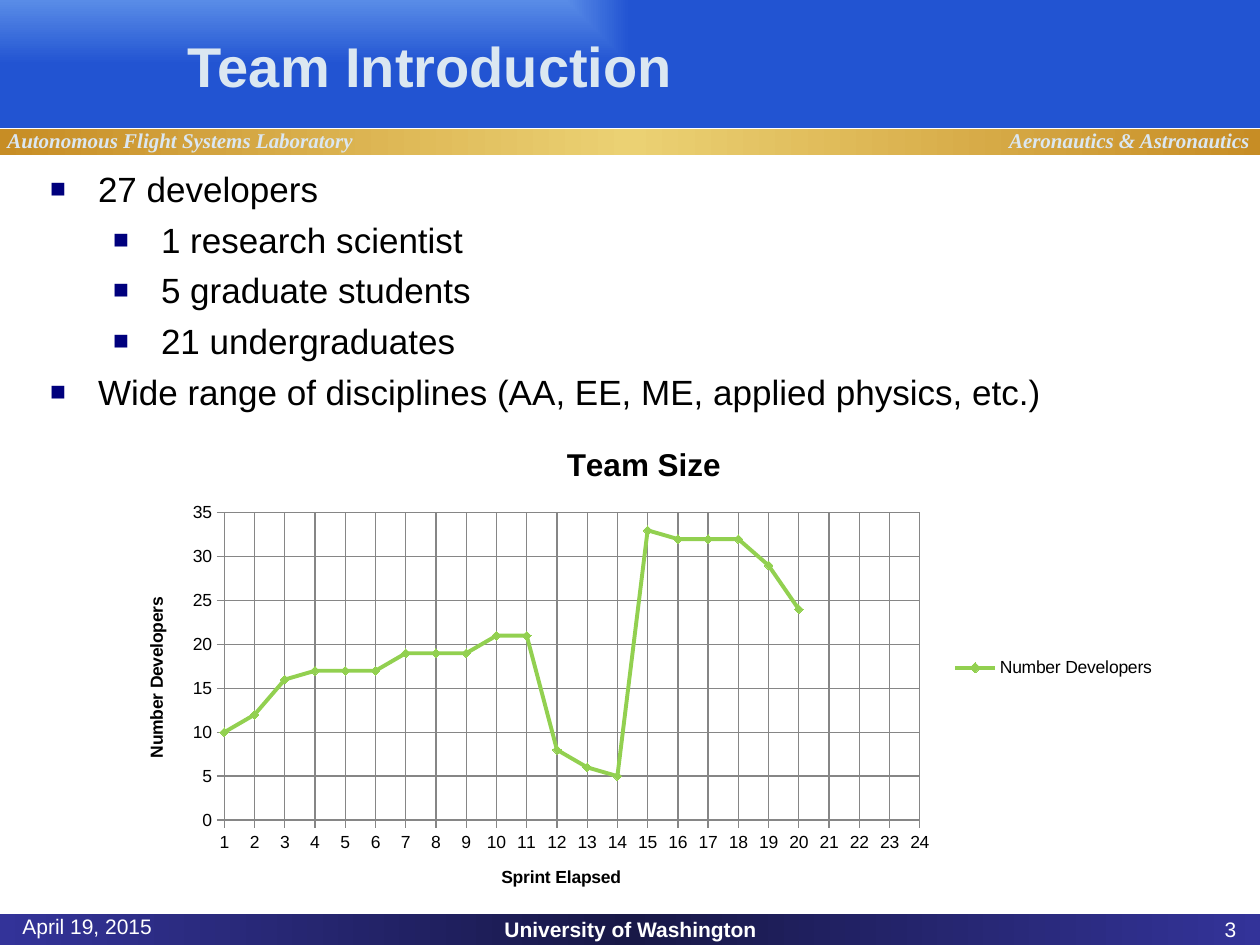
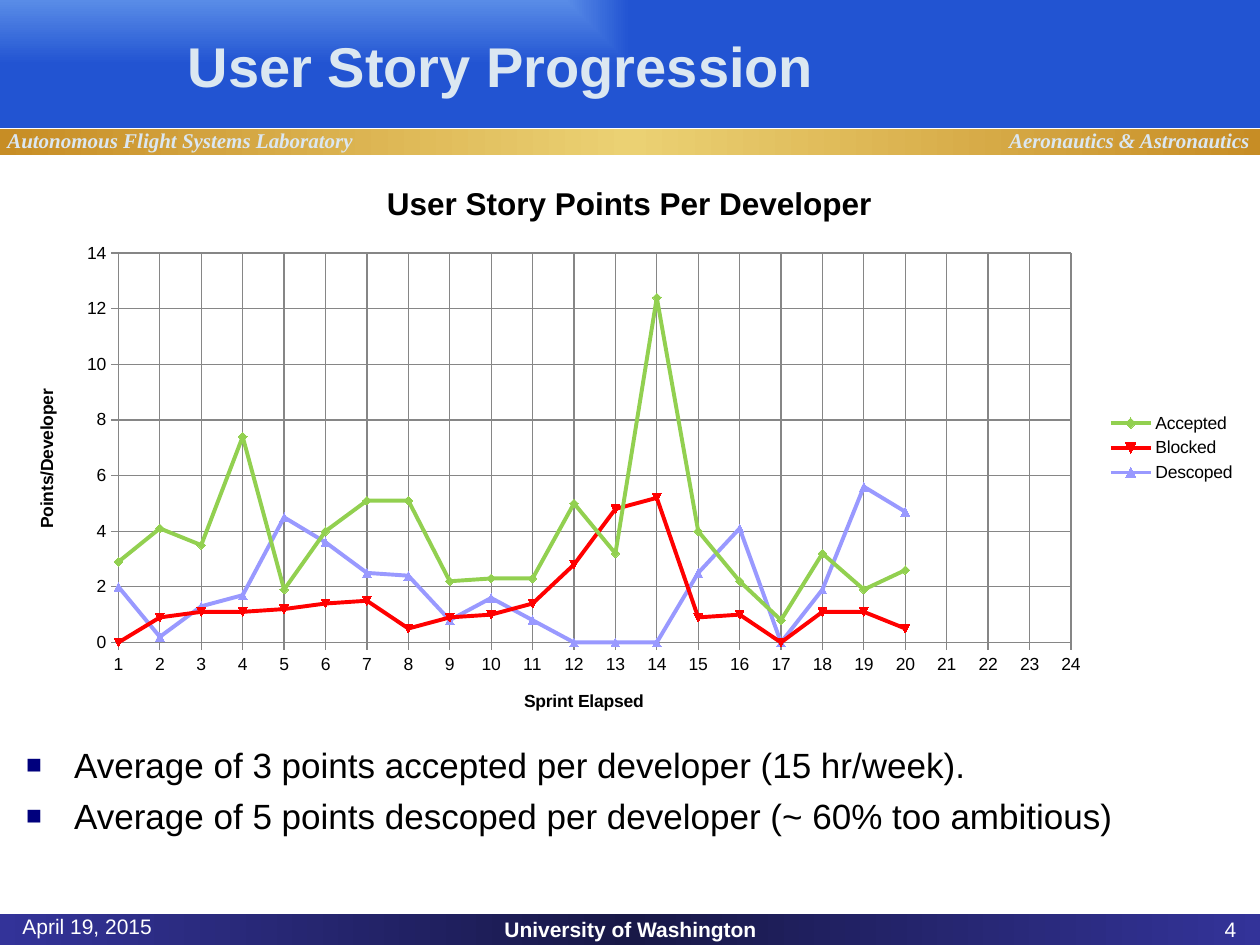
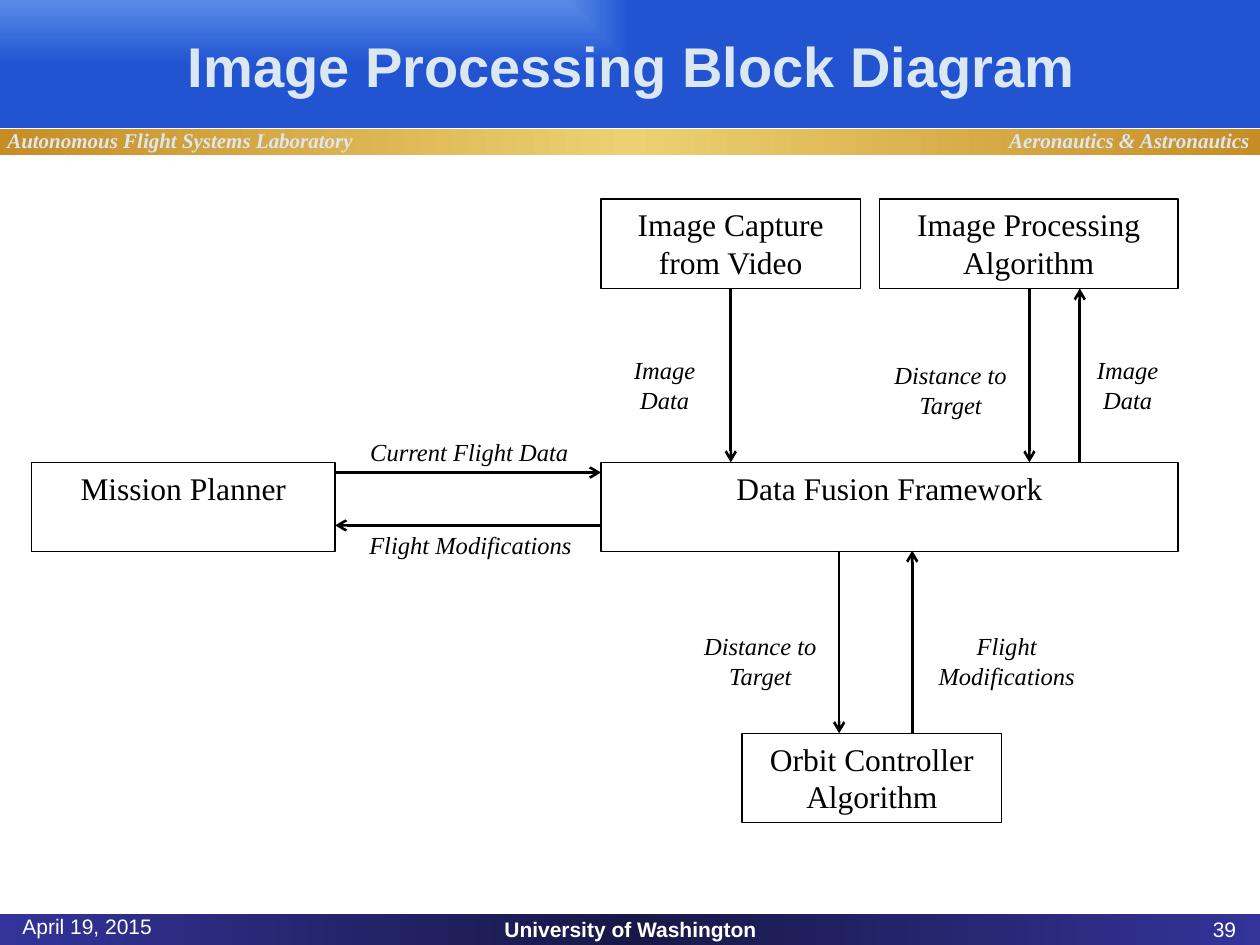
"""Build three slides of a flight systems laboratory review."""
from dataclasses import dataclass
from typing import NamedTuple

from pptx import Presentation
from pptx.chart.data import XyChartData
from pptx.dml.color import RGBColor
from pptx.enum.chart import XL_CHART_TYPE as ChartType
from pptx.enum.chart import XL_LEGEND_POSITION as LegendPos
from pptx.enum.chart import XL_MARKER_STYLE as Marker
from pptx.enum.chart import XL_TICK_MARK as Tick
from pptx.enum.shapes import MSO_CONNECTOR as Connector
from pptx.enum.shapes import MSO_SHAPE as Shape
from pptx.enum.text import MSO_ANCHOR as Anchor
from pptx.enum.text import MSO_AUTO_SIZE as AutoSize
from pptx.enum.text import PP_ALIGN as Align
from pptx.oxml import parse_xml
from pptx.oxml.ns import nsdecls, qn
from pptx.util import Emu, Pt

PX = 9144
SANS, SERIF = "Arial", "Times New Roman"


class Style(NamedTuple):
    """Look of a run of text."""
    size: int
    font: str
    color: str
    bold: bool = False
    italic: bool = False


@dataclass(frozen=True)
class Theme:
    """Colours and type styles of the deck."""
    header: tuple = ("598CE7", "2254D2")
    gold: tuple = ("C78D25", "EBD173", "C78D25")
    navy: tuple = ("333399", "181847", "333399")
    black: str = "000000"
    bullet: str = "00007D"
    grid: str = "868686"
    green: str = "92D050"
    red: str = "FF0000"
    lilac: str = "9999FF"
    title: Style = Style(32, SANS, "DBE7F1", bold=True)
    unit: Style = Style(12, SERIF, "DBE7F1", bold=True, italic=True)
    footer: Style = Style(12, SANS, "FFFFFF")
    footer_bold: Style = Style(12, SANS, "FFFFFF", bold=True)
    body: Style = Style(20, SANS, "000000")
    block: Style = Style(18, SERIF, "000000")
    flow: Style = Style(14, SERIF, "000000", italic=True)
    chart: Style = Style(10, SANS, "000000")
    axis_title: Style = Style(10, SANS, "000000", bold=True)
    chart_title: Style = Style(18, SANS, "000000", bold=True)


T = Theme()


class Box(NamedTuple):
    """Left, top, width and height in px."""
    x: int
    y: int
    w: int
    h: int

    def emu(self) -> list:
        """Return the box in EMU."""
        return [Emu(v * PX) for v in self]


class Band(NamedTuple):
    """Full-width gradient band."""
    box: Box
    colors: tuple
    from_corner: bool = False


class Label(NamedTuple):
    """Text with its box and look."""
    text: str
    box: Box
    style: Style
    align: Align = Align.LEFT
    anchor: Anchor = Anchor.TOP


class Arrow(NamedTuple):
    """Arrow from one point to another."""
    x1: int
    y1: int
    x2: int
    y2: int


class Bullet(NamedTuple):
    """Bulleted line."""
    text: str
    level: int = 0


class Series(NamedTuple):
    """Values for sprints 1, 2, 3 and on."""
    name: str
    color: str
    values: tuple


class SprintChart(NamedTuple):
    """Scatter chart over the sprints."""
    title: str
    y_title: str
    box: Box
    plot: Box
    y_max: int
    y_step: int
    series: tuple


BANDS = (
    Band(Box(0, 725, 1000, 25), T.navy),
    Band(Box(0, 0, 1000, 102), T.header, from_corner=True),
    Band(Box(0, 102, 1000, 21), T.gold),
)
BAND_LABELS = (
    Label("Aeronautics & Astronautics", Box(791, 96, 239, 30), T.unit),
    Label("Autonomous Flight Systems Laboratory", Box(-4, 96, 374, 30), T.unit),
    Label("April 19, 2015", Box(8, 725, 233, 25), T.footer, anchor=Anchor.BOTTOM),
    Label("University of Washington", Box(267, 725, 467, 25), T.footer_bold,
          Align.CENTER, Anchor.MIDDLE),
)
NUMBER_BOX = Box(758, 725, 233, 25)
TITLE_BOX = Box(139, 10, 840, 83)

TEAM_BULLETS = (
    Bullet("27 developers"),
    Bullet("1 research scientist", 1),
    Bullet("5 graduate students", 1),
    Bullet("21 undergraduates", 1),
    Bullet("Wide range of disciplines (AA, EE, ME, applied physics, etc.)"),
)
TEAM_CHART = SprintChart(
    "Team Size", "Number Developers", Box(95, 335, 832, 390), Box(178, 407, 552, 244), 35, 5,
    (Series("Number Developers", T.green,
            (10, 12, 16, 17, 17, 17, 19, 19, 19, 21, 21, 8, 6, 5, 33, 32, 32, 32, 29, 24)),))

STORY_BULLETS = (
    Bullet("Average of 3 points accepted per developer (15 hr/week)."),
    Bullet("Average of 5 points descoped per developer (~ 60% too ambitious)"),
)
STORY_CHART = SprintChart(
    "User Story Points Per Developer", "Points/Developer",
    Box(8, 126, 983, 459), Box(94, 201, 756, 309), 14, 2,
    (Series("Accepted", T.green, (2.9, 4.1, 3.5, 7.4, 1.9, 4, 5.1, 5.1, 2.2, 2.3,
                                  2.3, 5, 3.2, 12.4, 4, 2.2, 0.8, 3.2, 1.9, 2.6)),
     Series("Blocked", T.red, (0, 0.9, 1.1, 1.1, 1.2, 1.4, 1.5, 0.5, 0.9, 1,
                               1.4, 2.8, 4.8, 5.2, 0.9, 1, 0, 1.1, 1.1, 0.5)),
     Series("Descoped", T.lilac, (2, 0.2, 1.3, 1.7, 4.5, 3.6, 2.5, 2.4, 0.8, 1.6,
                                  0.8, 0, 0, 0, 2.5, 4.1, 0, 1.9, 5.6, 4.7))))

BLOCKS = tuple(Label(text, Box(x, y, w, 71), T.block, Align.CENTER) for text, x, y, w in (
    ("Image Processing Algorithm", 698, 158, 237),
    ("Image Capture from Video", 477, 158, 206),
    ("Data Fusion Framework", 477, 367, 458),
    ("Orbit Controller Algorithm", 589, 582, 206),
    ("Mission Planner", 25, 367, 241),
))
FLOWS = tuple(Label(text, Box(*box), T.flow, Align.CENTER) for text, *box in (
    ("Image Data", 477, 277, 101, 57),
    ("Distance to Target", 692, 281, 125, 57),
    ("Image Data", 841, 277, 108, 57),
    ("Distance to Target", 541, 496, 125, 57),
    ("Flight Modifications", 732, 496, 134, 57),
    ("Current Flight Data", 247, 342, 251, 34),
    ("Flight Modifications", 248, 416, 251, 34),
))
ARROWS = (
    Arrow(817, 229, 817, 367), Arrow(580, 229, 580, 367), Arrow(857, 367, 857, 229),
    Arrow(666, 437, 666, 582), Arrow(724, 582, 724, 437),
    Arrow(266, 375, 477, 375), Arrow(477, 417, 266, 417),
)


def rgb(color: str) -> RGBColor:
    """Turn a hex string into a colour."""
    return RGBColor.from_string(color)


def set_font(font, style: Style) -> None:
    """Apply a style to a font."""
    font.size, font.name = Pt(style.size), style.font
    font.bold, font.italic = style.bold, style.italic
    font.color.rgb = rgb(style.color)


def fill_text(sp, label: Label) -> None:
    """Write a label into a shape."""
    tf = sp.text_frame
    tf.word_wrap, tf.auto_size = True, AutoSize.NONE
    tf.vertical_anchor = label.anchor
    tf.text = label.text
    p = tf.paragraphs[0]
    p.alignment = label.align
    for r in p.runs:
        set_font(r.font, label.style)


def add_label(s, label: Label) -> None:
    """Add a text box."""
    fill_text(s.shapes.add_textbox(*label.box.emu()), label)


def add_rect(s, box: Box):
    """Add a rectangle without a shadow."""
    sp = s.shapes.add_shape(Shape.RECTANGLE, *box.emu())
    sp.shadow.inherit = False
    return sp


def add_band(s, band: Band) -> None:
    """Add a rectangle with a gradient fill."""
    sp = add_rect(s, band.box)
    sp.line.fill.background()
    step = 100000 // (len(band.colors) - 1)
    stops = "".join(f'<a:gs pos="{i * step}"><a:srgbClr val="{c}"/></a:gs>'
                    for i, c in enumerate(band.colors))
    direction = ('<a:path path="rect"><a:fillToRect r="100000" b="100000"/></a:path>'
                 if band.from_corner else '<a:lin ang="0" scaled="1"/>')
    sp.element.spPr.find(qn("a:prstGeom")).addnext(parse_xml(
        f'<a:gradFill {nsdecls("a")}><a:gsLst>{stops}</a:gsLst>{direction}</a:gradFill>'))


def add_slide(prs, title: str, number: int):
    """Add a slide with its bands, title and footer."""
    s = prs.slides.add_slide(prs.slide_layouts[5])
    for band in BANDS:
        add_band(s, band)
    for label in BAND_LABELS:
        add_label(s, label)
    add_label(s, Label(str(number), NUMBER_BOX, T.footer, Align.RIGHT, Anchor.MIDDLE))
    sp = s.shapes.title
    sp.left, sp.top, sp.width, sp.height = TITLE_BOX.emu()
    fill_text(sp, Label(title, TITLE_BOX, T.title, anchor=Anchor.MIDDLE))
    sp.element.getparent().append(sp.element)
    return s


def add_bullets(s, box: Box, bullets: tuple) -> None:
    """Add a text box of square-bulleted lines."""
    tf = s.shapes.add_textbox(*box.emu()).text_frame
    tf.word_wrap = True
    for i, bullet in enumerate(bullets):
        p = tf.add_paragraph() if i else tf.paragraphs[0]
        p.text, p.level = bullet.text, bullet.level
        if i:
            p.space_before = Pt(5)
        pPr = p._p.get_or_add_pPr()
        pPr.set("marL", str((38 + 50 * bullet.level) * PX))
        pPr.set("indent", str(-38 * PX))
        for xml in (f'<a:buClr {nsdecls("a")}><a:srgbClr val="{T.bullet}"/></a:buClr>',
                    f'<a:buSzPct {nsdecls("a")} val="75000"/>',
                    f'<a:buFont {nsdecls("a")} typeface="{SANS}"/>',
                    f'<a:buChar {nsdecls("a")} char="■"/>'):
            pPr.append(parse_xml(xml))
        for r in p.runs:
            set_font(r.font, T.body)


def set_title(owner, text: str, style: Style) -> None:
    """Give a chart or an axis its title."""
    tf = owner.text_frame
    tf.text = text
    set_font(tf.paragraphs[0].runs[0].font, style)


def format_axis(axis, title: str, low: int, high: int, step: int) -> None:
    """Set the scale, grid and title of an axis."""
    axis.minimum_scale, axis.maximum_scale, axis.major_unit = low, high, step
    axis.major_tick_mark, axis.minor_tick_mark = Tick.OUTSIDE, Tick.NONE
    axis.has_major_gridlines = True
    for line in (axis.major_gridlines.format.line, axis.format.line):
        line.color.rgb, line.width = rgb(T.grid), Pt(0.75)
    set_title(axis.axis_title, title, T.axis_title)


def place_plot(chart, box: Box, plot: Box) -> None:
    """Fix the inner plot area within the chart."""
    area = chart._chartSpace.chart.plotArea
    for old in area.findall(qn("c:layout")):
        area.remove(old)
    parts = {"x": (plot.x - box.x) / box.w, "y": (plot.y - box.y) / box.h,
             "w": plot.w / box.w, "h": plot.h / box.h}
    modes = '<c:xMode val="edge"/><c:yMode val="edge"/>'
    values = "".join(f'<c:{k} val="{v:.4f}"/>' for k, v in parts.items())
    area.insert(0, parse_xml(
        f'<c:layout {nsdecls("c")}><c:manualLayout><c:layoutTarget val="inner"/>'
        f'{modes}{values}</c:manualLayout></c:layout>'))


def add_sprint_chart(s, item: SprintChart) -> None:
    """Add a scatter chart with lines and markers."""
    data = XyChartData()
    for series in item.series:
        points = data.add_series(series.name)
        for sprint, value in enumerate(series.values, 1):
            points.add_data_point(sprint, value)
    chart = s.shapes.add_chart(ChartType.XY_SCATTER_LINES, *item.box.emu(), data).chart
    set_font(chart.font, T.chart)
    chart.has_title = True
    set_title(chart.chart_title, item.title, T.chart_title)
    chart.chart_title.include_in_layout = False
    chart.has_legend = True
    chart.legend.position, chart.legend.include_in_layout = LegendPos.RIGHT, False
    format_axis(chart.category_axis, "Sprint Elapsed", 1, 24, 1)
    format_axis(chart.value_axis, item.y_title, 0, item.y_max, item.y_step)
    place_plot(chart, item.box, item.plot)
    plot = chart.plots[0]
    plot.vary_by_categories = False
    for drawn, series in zip(plot.series, item.series):
        color = rgb(series.color)
        drawn.smooth = False
        drawn.format.line.color.rgb, drawn.format.line.width = color, Pt(2.25)
        drawn.marker.style, drawn.marker.size = Marker.AUTOMATIC, 5
        drawn.marker.format.fill.solid()
        drawn.marker.format.fill.fore_color.rgb = color
        drawn.marker.format.line.color.rgb = color


def add_block(s, label: Label) -> None:
    """Add an outlined block of the diagram."""
    sp = add_rect(s, label.box)
    sp.fill.background()
    sp.line.color.rgb, sp.line.width = rgb(T.black), Pt(0.75)
    fill_text(sp, label)


def add_arrow(s, arrow: Arrow) -> None:
    """Add a line with an open arrowhead at its end."""
    cx = s.shapes.add_connector(Connector.STRAIGHT, *(Emu(v * PX) for v in arrow))
    cx.line.color.rgb, cx.line.width = rgb(T.black), Pt(1.5)
    cx.line._get_or_add_ln().append(parse_xml(f'<a:tailEnd {nsdecls("a")} type="arrow"/>'))
    cx.element.spPr.append(parse_xml(f'<a:effectLst {nsdecls("a")}/>'))


def main() -> None:
    """Build and save the deck."""
    prs = Presentation()
    prs.slide_width, prs.slide_height = Emu(1000 * PX), Emu(750 * PX)

    s = add_slide(prs, "Team Introduction", 3)
    add_bullets(s, Box(30, 128, 954, 590), TEAM_BULLETS)
    add_sprint_chart(s, TEAM_CHART)

    s = add_slide(prs, "User Story Progression", 4)
    add_bullets(s, Box(11, 585, 970, 121), STORY_BULLETS)
    add_sprint_chart(s, STORY_CHART)

    s = add_slide(prs, "Image Processing Block Diagram", 39)
    for block in BLOCKS:
        add_block(s, block)
    for arrow in ARROWS:
        add_arrow(s, arrow)
    for flow in FLOWS:
        add_label(s, flow)

    prs.save("out.pptx")


if __name__ == "__main__":
    main()
